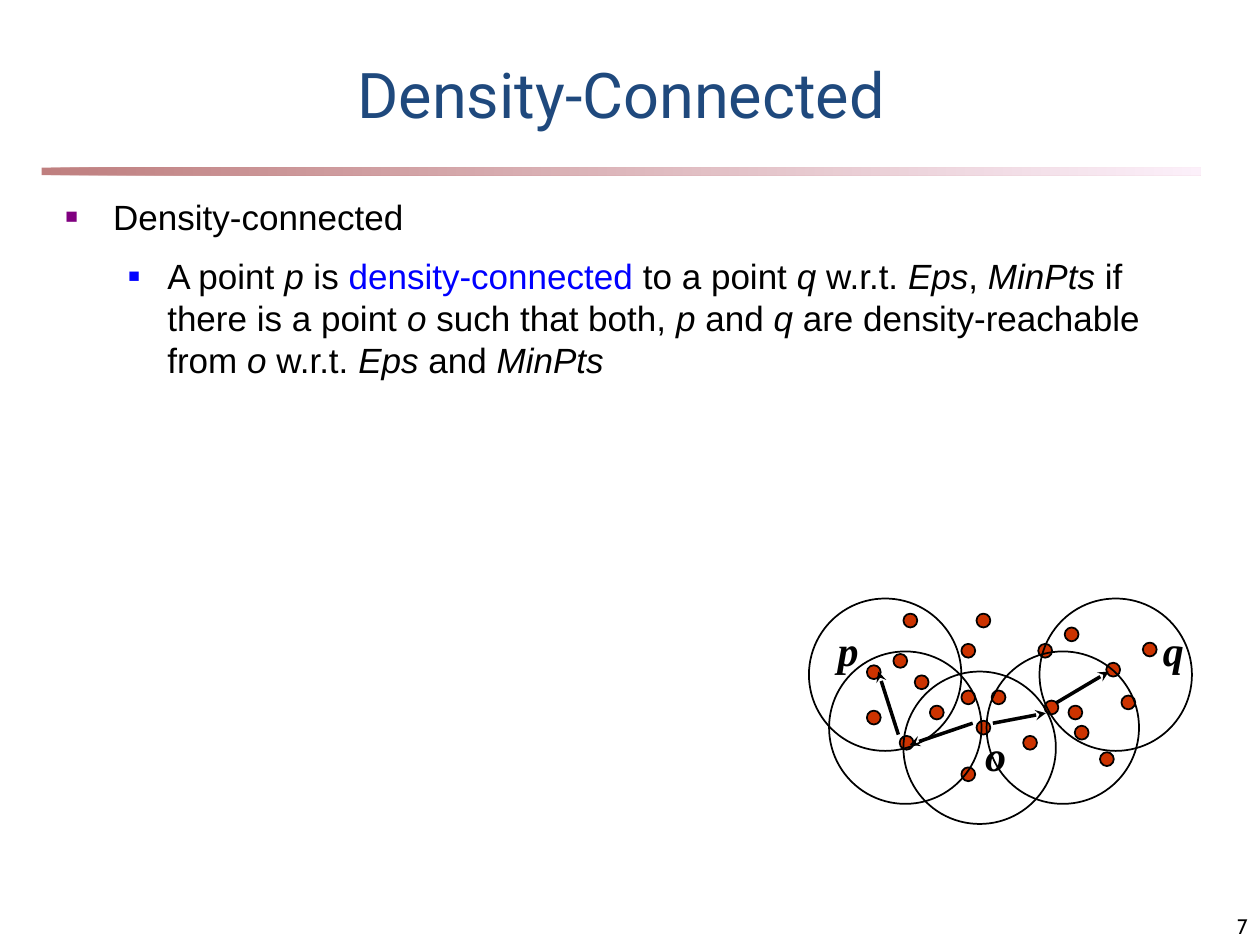
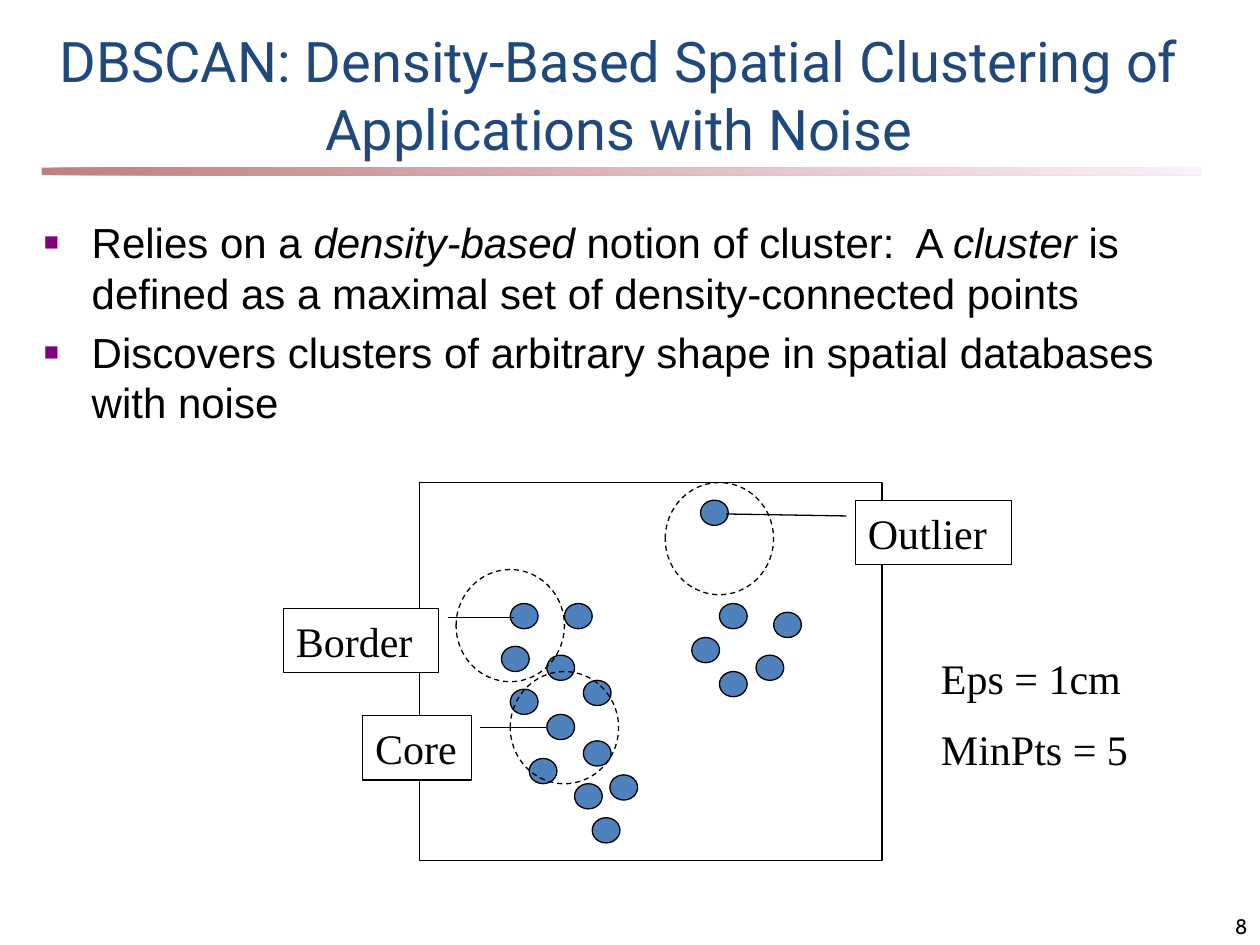
from lxml import etree
from pptx import Presentation
from pptx.dml.color import RGBColor
from pptx.enum import dml, shapes, text
from pptx.oxml import ns
from pptx.util import Inches, Pt

BLACK = RGBColor(0x00, 0x00, 0x00)
WHITE = RGBColor(0xFF, 0xFF, 0xFF)
TITLE_BLUE = RGBColor(0x1F, 0x49, 0x7D)
TERM_BLUE = RGBColor(0x00, 0x00, 0xFF)
BULLET_PURPLE = RGBColor(0x80, 0x00, 0x80)
RULE_MAROON = RGBColor(0x80, 0x00, 0x00)
RULE_PINK = RGBColor(0xFA, 0xE2, 0xF6)
POINT_RED = RGBColor(0xCC, 0x33, 0x00)
POINT_BLUE = RGBColor(0x4F, 0x81, 0xBD)

BODY_FONT = "Arial"
LABEL_FONT = "Times New Roman"

# Per outline level: left margin, hanging indent, bullet colour, bullet size (%)
BULLET_LEVELS = [
    (0.38, -0.38, BULLET_PURPLE, 60),
    (0.81, -0.31, TERM_BLUE, 55),
]

# Left and top of each data point
CONNECTED_POINTS = [
    (7.26, 5.36), (7.63, 5.48), (7.63, 5.11), (7.14, 5.84), (7.38, 5.60),
    (7.63, 6.09), (7.75, 5.72), (7.75, 4.87), (8.48, 5.60), (8.24, 5.11),
    (6.88, 5.64), (7.87, 5.48), (8.12, 5.84), (8.73, 5.97), (8.90, 5.52),
    (8.29, 5.56), (8.53, 5.76), (9.07, 5.10), (8.45, 4.98), (8.78, 5.26),
    (7.09, 5.19), (6.88, 5.28), (7.17, 4.87),
]
CONNECTED_NEIGHBOURHOODS = [
    (6.58, 5.17), (7.17, 5.33), (7.83, 5.17), (8.25, 4.75), (6.42, 4.75),
]
REACH_ARROWS = [
    ((7.72, 5.74), (7.22, 5.91)),
    ((7.88, 5.74), (8.30, 5.66)),
    ((7.13, 5.83), (6.97, 5.33)),
    ((8.38, 5.58), (8.80, 5.33)),
]
POINT_NAMES = [("p", 6.55, 4.91), ("q", 9.13, 4.91), ("o", 7.72, 5.74)]

CLUSTER_POINTS = [
    (4.05, 4.79), (3.98, 5.13), (4.34, 5.20), (4.48, 4.79), (4.63, 5.40),
    (4.05, 5.47), (4.34, 5.67), (4.20, 6.02), (4.56, 6.22), (4.70, 6.49),
    (4.63, 5.88), (4.84, 6.15), (5.56, 3.97), (5.71, 4.79), (5.49, 5.06),
    (6.00, 5.20), (6.14, 4.86), (5.71, 5.33),
]
CLUSTER_NEIGHBOURHOODS = [(3.62, 4.52), (4.05, 5.33), (5.28, 3.83)]
# Name, left, top, width, leader adjustments (y1, x1, y2, x2)
POINT_KINDS = [
    ("Core", 2.88, 5.68, 0.86, (0.188, 1.083, 0.188, 1.688)),
    ("Border", 2.25, 4.83, 1.23, (0.145, 1.059, 0.145, 1.485)),
    ("Outlier", 6.79, 3.97, 1.24, (0.245, -0.058, 0.214, -0.828)),
]


def add_xml(parent, tag, **attributes):
    return etree.SubElement(parent, ns.qn(tag), attributes)


def style_run(run, font, size, color, bold=None, italic=None):
    run.font.name = font
    run.font.size = Pt(size)
    run.font.color.rgb = color
    run.font.bold = bold
    run.font.italic = italic


def add_outline(slide, preset, left, top, width, height, fill=None, weight=0.75):
    """Add a black-outlined shape, hollow unless a fill is given."""
    shape = slide.shapes.add_shape(
        preset, Inches(left), Inches(top), Inches(width), Inches(height))
    shape.shadow.inherit = False
    if fill is None:
        shape.fill.background()
    else:
        shape.fill.solid()
        shape.fill.fore_color.rgb = fill
    shape.line.color.rgb = BLACK
    shape.line.width = Pt(weight)
    return shape


def add_circles(slide, corners, width, height, fill=None, weight=0.75, dash=None):
    for left, top in corners:
        circle = add_outline(slide, shapes.MSO_SHAPE.OVAL, left, top,
                             width, height, fill, weight)
        if dash:
            circle.line.dash_style = dash


def add_text_frame(slide, left, top, width, height):
    box = slide.shapes.add_textbox(
        Inches(left), Inches(top), Inches(width), Inches(height))
    box.text_frame.word_wrap = True
    return box.text_frame


def add_label(slide, lines, left, top, width, height, emphasis=None):
    frame = add_text_frame(slide, left, top, width, height)
    frame.text = "\n".join(lines)
    for index, paragraph in enumerate(frame.paragraphs):
        if index:
            paragraph.space_before = Pt(12)
        style_run(paragraph.runs[0], LABEL_FONT, 24, BLACK, emphasis, emphasis)


def add_arrow(slide, start, end):
    arrow = slide.shapes.add_connector(
        shapes.MSO_CONNECTOR.STRAIGHT, *map(Inches, start + end))
    arrow.line.color.rgb = BLACK
    arrow.line.width = Pt(2)
    add_xml(arrow.line._get_or_add_ln(), "a:tailEnd", type="stealth")
    add_xml(arrow._element.spPr, "a:effectLst")


def add_callout(slide, name, left, top, width, leader):
    callout = add_outline(slide, shapes.MSO_SHAPE.LINE_CALLOUT_1,
                          left, top, width, 0.51, WHITE)
    for index, value in enumerate(leader):
        callout.adjustments[index] = value
    callout.text_frame.text = name
    paragraph = callout.text_frame.paragraphs[0]
    paragraph.alignment = text.PP_ALIGN.LEFT
    style_run(paragraph.runs[0], LABEL_FONT, 24, BLACK)


def set_bullet(paragraph, level):
    margin, indent, color, size = BULLET_LEVELS[level]
    paragraph.level = level
    properties = paragraph._p.get_or_add_pPr()
    properties.set("marL", str(Inches(margin)))
    properties.set("indent", str(Inches(indent)))
    add_xml(add_xml(properties, "a:buClr"), "a:srgbClr", val=str(color))
    add_xml(properties, "a:buSzPct", val=str(size * 1000))
    add_xml(properties, "a:buFont", typeface=BODY_FONT)
    add_xml(properties, "a:buChar", char="■")


def add_bullets(slide, items, box, size, gap):
    """Add (level, marked text) items; *...* is italic and #...# is a key term."""
    frame = add_text_frame(slide, *box)
    for index, (level, marked) in enumerate(items):
        paragraph = frame.add_paragraph() if index else frame.paragraphs[0]
        set_bullet(paragraph, level)
        if index:
            paragraph.space_before = Pt(gap)
        for term_index, part in enumerate(marked.split("#")):
            color = TERM_BLUE if term_index % 2 else BLACK
            for italic_index, words in enumerate(part.split("*")):
                run = paragraph.add_run()
                run.text = words
                style_run(run, BODY_FONT, size, color, italic=italic_index % 2 == 1)


def add_title_rule(slide):
    rule = slide.shapes.add_shape(
        shapes.MSO_SHAPE.RECTANGLE, Inches(0.33), Inches(1.33),
        Inches(9.2), Inches(0.06))
    rule.shadow.inherit = False
    rule.line.fill.background()
    rule.fill.gradient()
    rule.fill.gradient_angle = 0
    for stop, color in zip(rule.fill.gradient_stops, (RULE_MAROON, RULE_PINK)):
        stop.color.rgb = color
    for color in rule._element.spPr.iter(ns.qn("a:srgbClr")):
        add_xml(color, "a:alpha", val="50000")


def add_slide(deck, title, title_box, title_size, number):
    """Start a slide with its title, the rule below it and the page number."""
    slide = deck.slides.add_slide(deck.slide_layouts[5])
    add_title_rule(slide)

    heading = slide.shapes.title
    heading.left, heading.top, heading.width, heading.height = map(Inches, title_box)
    frame = heading.text_frame
    frame.text = title
    frame.auto_size = text.MSO_AUTO_SIZE.NONE
    frame.vertical_anchor = text.MSO_ANCHOR.BOTTOM
    frame.paragraphs[0].alignment = text.PP_ALIGN.CENTER
    style_run(frame.paragraphs[0].runs[0], "Roboto", title_size, TITLE_BLUE)

    footer = add_text_frame(slide, 7.92, 7.08, 2.08, 0.42)
    footer.text = str(number)
    footer.vertical_anchor = text.MSO_ANCHOR.BOTTOM
    footer.paragraphs[0].alignment = text.PP_ALIGN.RIGHT
    style_run(footer.paragraphs[0].runs[0], "Cabin", 12, BLACK)
    return slide


def build_density_connected(deck):
    slide = add_slide(deck, "Density-Connected", (0.67, 0.42, 8.52, 0.67), 36, 7)
    add_bullets(slide, [
        (0, "Density-connected"),
        (1, "A point *p* is #density-connected# to a point *q* w.r.t. *Eps*, "
            "*MinPts* if there is a point *o *such that both, *p* and *q* are "
            "density-reachable from *o* w.r.t. *Eps* and *MinPts*"),
    ], (0.42, 1.5, 9.17, 5.58), 20, 10)
    add_circles(slide, CONNECTED_POINTS, 0.11, 0.11, POINT_RED, 1)
    add_circles(slide, CONNECTED_NEIGHBOURHOODS, 1.21, 1.21, weight=1)
    for start, end in REACH_ARROWS:
        add_arrow(slide, start, end)
    for name, left, top in POINT_NAMES:
        add_label(slide, [name], left, top, 0.42, 0.5, emphasis=True)


def build_dbscan(deck):
    slide = add_slide(
        deck, "DBSCAN: Density-Based Spatial Clustering of Applications with Noise",
        (0.25, 0.25, 9.33, 1.08), 32, 8)
    add_bullets(slide, [
        (0, "Relies on a *density-based* notion of cluster:  A *cluster* is "
            "defined as a maximal set of density-connected points"),
        (0, "Discovers clusters of arbitrary shape in spatial databases with noise"),
    ], (0.25, 1.67, 9.33, 1.58), 24, 5)
    add_circles(slide, CLUSTER_POINTS, 0.22, 0.2, POINT_BLUE)
    add_outline(slide, shapes.MSO_SHAPE.RECTANGLE, 3.33, 3.83, 3.67, 3)
    add_circles(slide, CLUSTER_NEIGHBOURHOODS, 0.86, 0.89,
                dash=dml.MSO_LINE.DASH)
    for kind in POINT_KINDS:
        add_callout(slide, *kind)
    add_label(slide, ["Eps = 1cm", "MinPts = 5"], 7.37, 5.13, 1.8, 1.1)


def main():
    deck = Presentation()
    deck.slide_width = Inches(10)
    deck.slide_height = Inches(7.5)
    build_density_connected(deck)
    build_dbscan(deck)
    deck.save("out.pptx")


if __name__ == "__main__":
    main()
